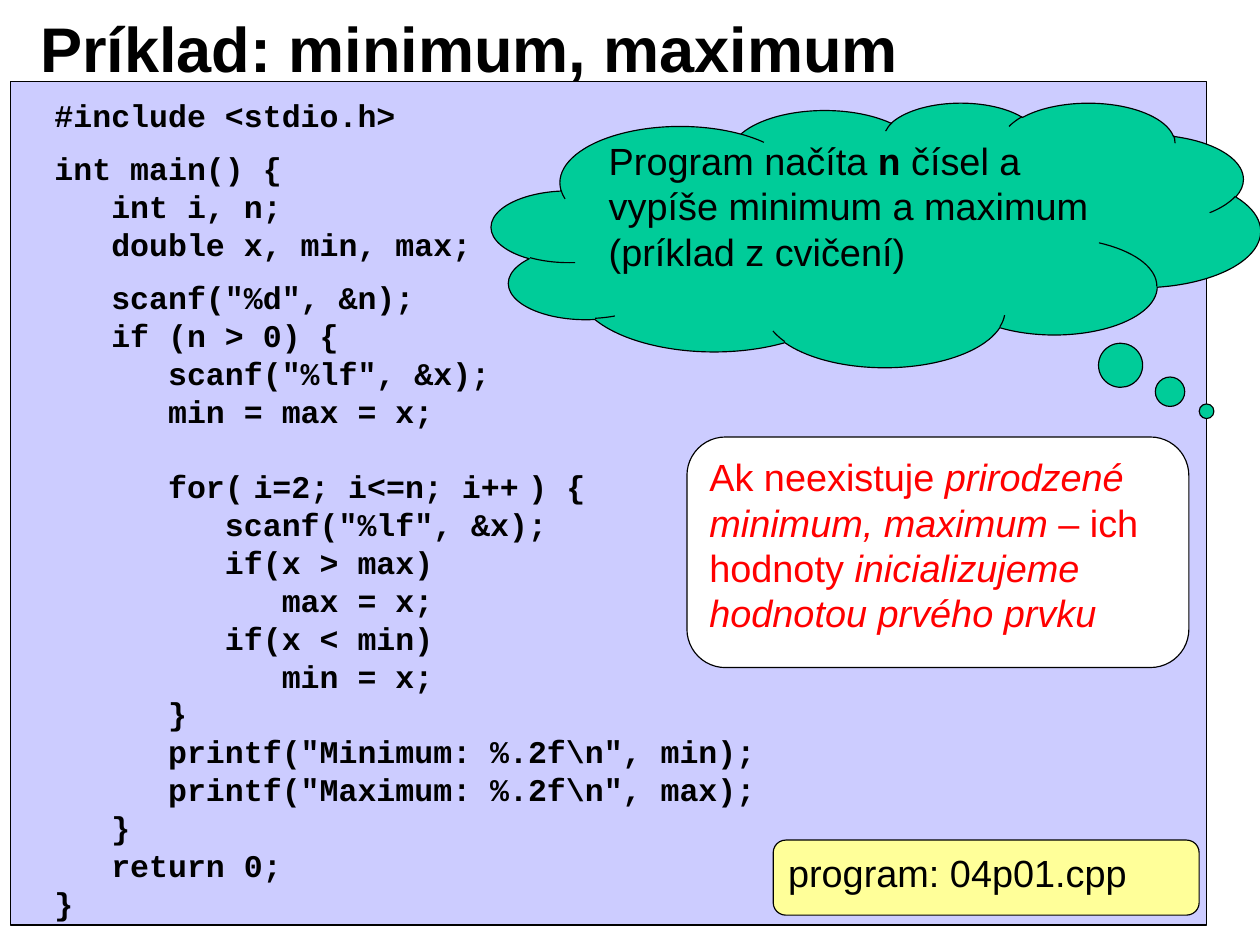
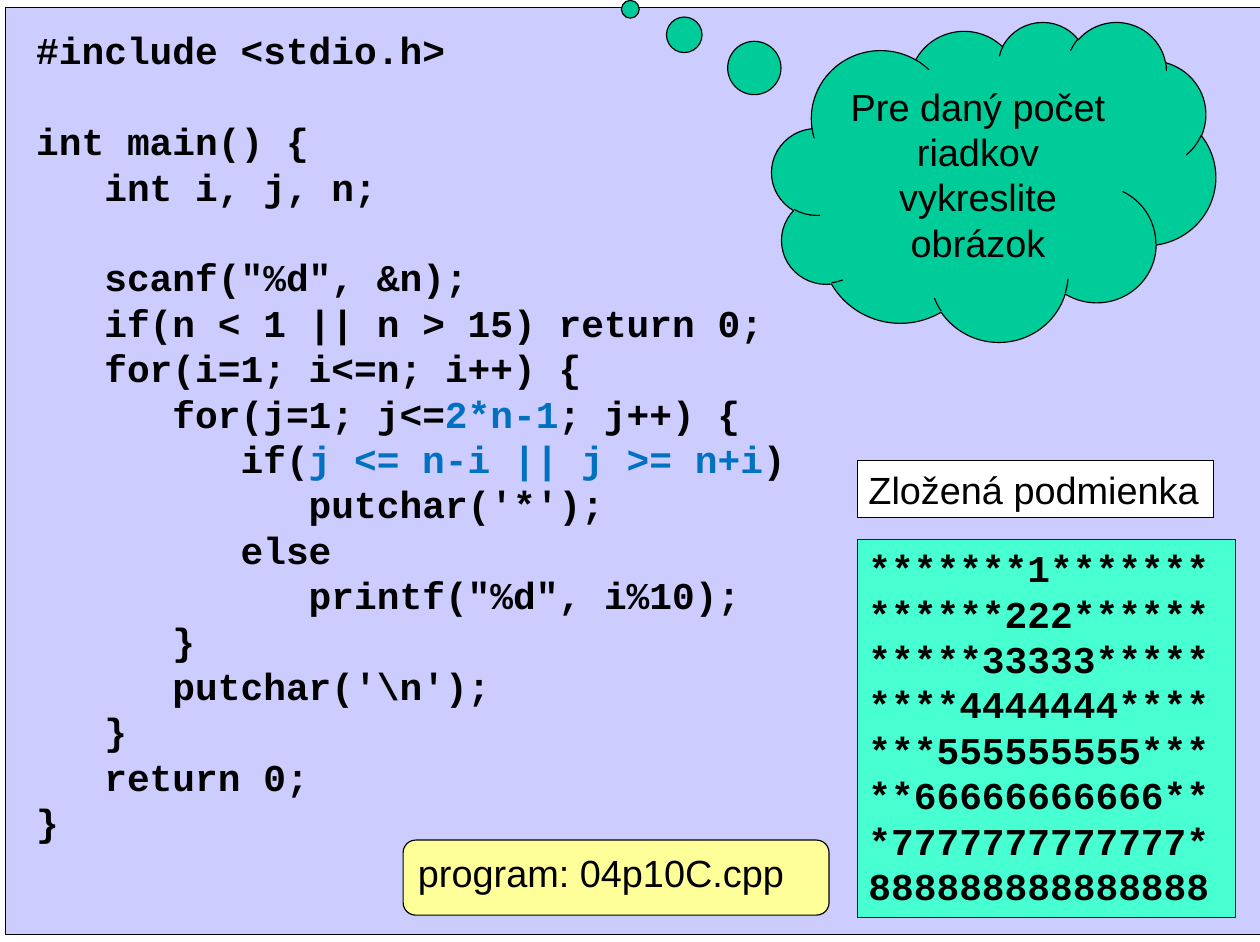
"""Build two slides that explain short C programs."""
import pptx
import pptx.util
import pptx.dml.color
import pptx.enum.shapes
import pptx.enum.text

Cm, Pt = pptx.util.Cm, pptx.util.Pt
SHAPE = pptx.enum.shapes.MSO_SHAPE
ALIGN = pptx.enum.text.PP_ALIGN
ANCHOR = pptx.enum.text.MSO_ANCHOR

COLORS = {
    "black": "000000",
    "white": "FFFFFF",
    "panel": "CCCCFF",
    "cloud": "00CC99",
    "file": "FFFF99",
    "output": "47FFD1",
    "navy": "002060",
    "red": "FF0000",
    "blue": "0070C0",
}
SANS, MONO = "Arial", "Courier New"
LINE_RATIO = 1.2

MINMAX_CODE = [
    "#include <stdio.h>",
    "int main() {",
    "   int i, n;",
    "   double x, min, max;",
    '   scanf("%d", &n);',
    "   if (n > 0) {",
    '      scanf("%lf", &x);',
    "      min = max = x;",
    [("      for(", {}), (" ", {"size": 10}), ("i=2; i<=n; i++", {}),
     (" ", {"size": 10}), (") {", {})],
    '         scanf("%lf", &x);',
    "         if(x > max)",
    "            max = x;",
    "         if(x < min)",
    "            min = x;",
    "      }",
    '      printf("Minimum: %.2f\\n", min);',
    '      printf("Maximum: %.2f\\n", max);',
    "   }",
    "   return 0;",
    "}",
]
PATTERN_CODE = [
    "#include <stdio.h>",
    "int main() {",
    "   int i, j, n;",
    '   scanf("%d", &n);',
    "   if(n < 1 || n > 15) return 0;",
    "   for(i=1; i<=n; i++) {",
    [("      for(j=1; j<=", {}), ("2*n-1", {"color": "blue"}), ("; j++) {", {})],
    [("         if(", {}), ("j <= n-i || j >= n+i", {"color": "blue"}), (")", {})],
    "            putchar('*');",
    "         else",
    '            printf("%d", i%10);',
    "      }",
    "      putchar('\\n');",
    "   }",
    "   return 0;",
    "}",
]


def rgb(name):
    """Return the named colour."""
    return pptx.dml.color.RGBColor.from_string(COLORS[name])


def set_font(font, name=None, size=None, color=None, bold=None, italic=None):
    """Set the given font properties and leave the others alone."""
    if name:
        font.name = name
    if size:
        font.size = Pt(size)
    if color:
        font.color.rgb = rgb(color)
    if bold is not None:
        font.bold = bold
    if italic is not None:
        font.italic = italic


def write(tf, lines, size=24, name=SANS, color="black", bold=False,
          align=ALIGN.LEFT, anchor=ANCHOR.TOP, gaps=None):
    """Fill a text frame; a line is a string or a list of (text, font) runs."""
    tf.word_wrap = True
    tf.vertical_anchor = anchor
    for i, line in enumerate(lines):
        p = tf.paragraphs[0] if i == 0 else tf.add_paragraph()
        p.alignment = align
        p.line_spacing = Pt(size * LINE_RATIO)
        p.space_before = Pt((gaps or {}).get(i, 0))
        set_font(p.font, name, size, color, bold)
        for text, font in [(line, {})] if isinstance(line, str) else line:
            r = p.add_run()
            r.text = text
            set_font(r.font, **font)


def add_box(s, kind, box, fill, line="black"):
    """Add a flat filled shape with a thin outline."""
    sp = s.shapes.add_shape(kind, *map(Cm, box))
    sp.shadow.inherit = False
    sp.fill.solid()
    sp.fill.fore_color.rgb = rgb(fill)
    sp.line.color.rgb = rgb(line)
    sp.line.width = Pt(0.75)
    return sp


def add_cloud(s, box, tail, lines, **style):
    """Add a thought cloud whose bubbles lead to the tail."""
    sp = add_box(s, SHAPE.CLOUD_CALLOUT, box, "cloud")
    sp.adjustments[0], sp.adjustments[1] = tail
    write(sp.text_frame, lines, anchor=ANCHOR.MIDDLE, **style)
    return sp


def add_code(s, panel, box, lines, size, gaps):
    """Add a code listing on a tinted panel."""
    add_box(s, SHAPE.RECTANGLE, panel, "panel")
    tb = s.shapes.add_textbox(*map(Cm, box))
    write(tb.text_frame, lines, size, MONO, bold=True, gaps=gaps)


def add_file_label(s, left, file_name):
    """Add the rounded label that names the program file."""
    sp = add_box(s, SHAPE.ROUNDED_RECTANGLE, (left, 18.8, 9.53, 1.68), "file")
    write(sp.text_frame, [f"program: {file_name}"])


def set_title(s, text):
    """Place and format the slide title."""
    sp = s.shapes.title
    sp.left, sp.top, sp.width, sp.height = map(Cm, (0.65, -0.24, 22.66, 2.59))
    write(sp.text_frame, [text], 40, bold=True, anchor=ANCHOR.MIDDLE)


def number_rows(n):
    """Return the rows of the number triangle framed by stars."""
    rows = []
    for i in range(1, n + 1):
        stars = "*" * (n - i)
        rows.append(stars + str(i) * (2 * i - 1) + stars)
    return rows


def build_minmax(prs):
    """Build the minimum and maximum slide."""
    s = prs.slides.add_slide(prs.slide_layouts[5])
    set_title(s, "Príklad: minimum, maximum")
    add_code(s, (0.23, 1.83, 26.77, 18.87), (0.97, 2.03, 16.33, 18.9),
             MINMAX_CODE, 20, {1: 9.6, 4: 9.6, 8: 24})
    cloud = add_cloud(s, (11, 2.29, 17.2, 5.92), (0.43, 0.668), [[
        ("Program načíta ", {}), ("n", {"name": MONO, "bold": True}),
        (" čísel a vypíše minimum a maximum (príklad z cvičení)", {})]])
    cloud.text_frame.margin_bottom = Cm(1.14)
    add_file_label(s, 17.3, "04p01.cpp")
    note = add_box(s, SHAPE.ROUNDED_RECTANGLE, (15.37, 9.78, 11.23, 5.16), "white")
    write(note.text_frame, [[
        ("Ak neexistuje ", {}),
        ("prirodzené minimum, maximum", {"italic": True}),
        (" – ich hodnoty ", {}),
        ("inicializujeme hodnotou prvého prvku", {"italic": True})]], color="red")


def build_pattern(prs):
    """Build the number pattern slide."""
    s = prs.slides.add_slide(prs.slide_layouts[6])
    add_code(s, (0.13, 0.17, 28.07, 20.75), (0.56, 0.48, 27.1, 18.72),
             PATTERN_CODE, 24, {1: 28.8, 3: 28.8})
    output = add_box(s, SHAPE.RECTANGLE, (19.18, 12.07, 8.46, 8.46), "output", "navy")
    write(output.text_frame, number_rows(8), name=MONO, bold=True)
    add_cloud(s, (17.27, 0.48, 9.93, 7.16), (-0.819, -0.538),
              ["Pre daný počet riadkov vykreslite obrázok"], align=ALIGN.CENTER)
    add_file_label(s, 9.02, "04p10C.cpp")
    label = add_box(s, SHAPE.RECTANGLE, (19.18, 10.31, 7.98, 1.27), "white")
    write(label.text_frame, ["Zložená podmienka"])


def main():
    """Build and save the presentation."""
    prs = pptx.Presentation()
    prs.slide_width, prs.slide_height = Cm(28.19), Cm(21.08)
    build_minmax(prs)
    build_pattern(prs)
    prs.save("out.pptx")


if __name__ == "__main__":
    main()
